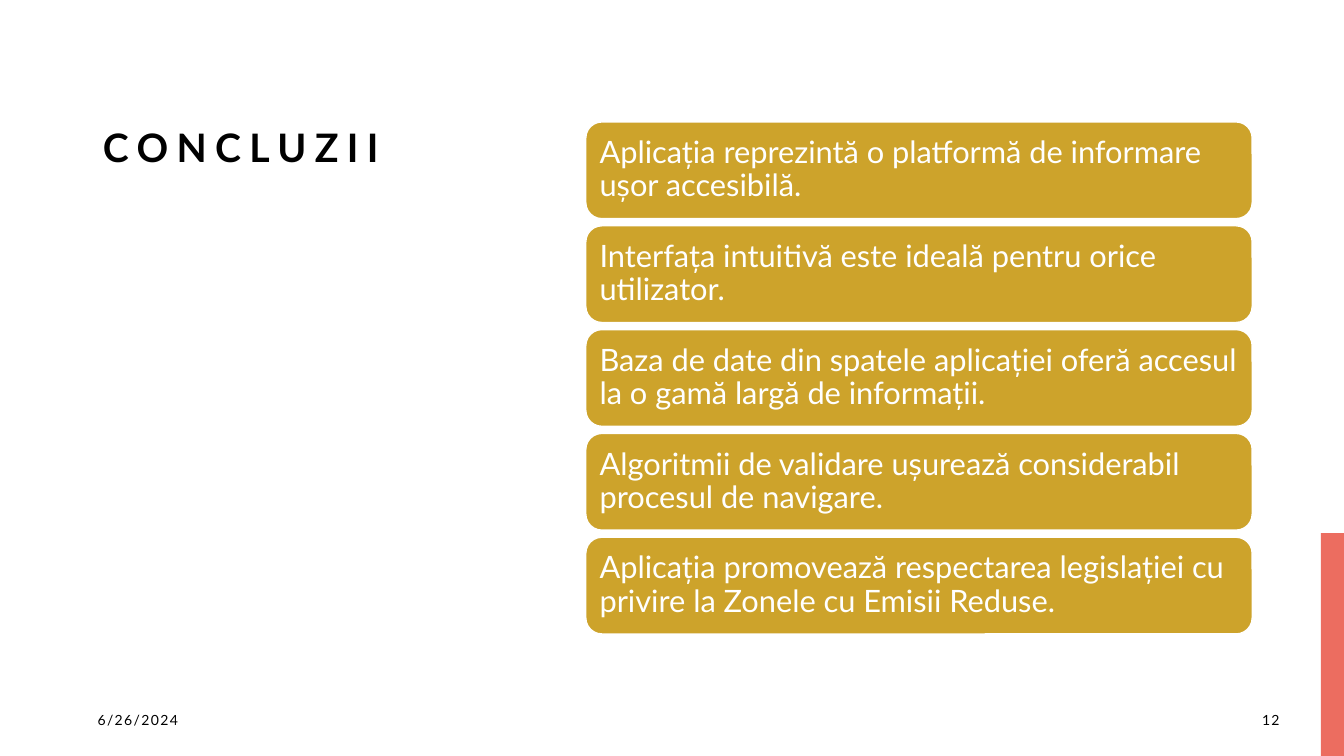
import pptx
import pptx.dml.color
import pptx.enum.shapes
import pptx.enum.text
import pptx.util

TITLE = "CONCLUZII"
CONCLUSIONS = [
    "Aplicația reprezintă o platformă de informare ușor accesibilă.",
    "Interfața intuitivă este ideală pentru orice utilizator.",
    "Baza de date din spatele aplicației oferă accesul la o gamă largă de informații.",
    "Algoritmii de validare ușurează considerabil procesul de navigare.",
    "Aplicația promovează respectarea legislației cu privire la Zonele cu Emisii Reduse.",
]
DATE, PAGE = "6/26/2024", "12"

FONT = "Lato"
BLACK, WHITE, GOLD, CORAL = "000000", "FFFFFF", "CDA32B", "EC6D60"
WIDTH, HEIGHT = 13.33, 7.5
CARD_LEFT, CARD_TOP, CARD_WIDTH, CARD_HEIGHT = 5.81, 1.21, 6.61, 0.96
CARD_GAP = 0.07
FOOTER_TOP, FOOTER_HEIGHT = 6.94, 0.4
STRIPE_WIDTH, STRIPE_HEIGHT = 0.23, 2.21

Inches, Pt = pptx.util.Inches, pptx.util.Pt
SHAPE = pptx.enum.shapes.MSO_SHAPE
ALIGN = pptx.enum.text.PP_ALIGN
ANCHOR = pptx.enum.text.MSO_ANCHOR


def color(value):
    return pptx.dml.color.RGBColor.from_string(value)


def box(left, top, width, height):
    return [Inches(v) for v in (left, top, width, height)]


def write(shape, text, size, fill, anchor, align=ALIGN.LEFT, line=1.0, bold=False, tracking=0):
    tf = shape.text_frame
    tf.word_wrap = True
    tf.auto_size = pptx.enum.text.MSO_AUTO_SIZE.NONE
    tf.vertical_anchor = anchor
    p = tf.paragraphs[0]
    r = p.add_run()
    r.text = text
    if tracking:
        r._r.get_or_add_rPr().set("spc", str(tracking * 100))
    p.alignment, p.line_spacing = align, line
    p.font.name, p.font.size, p.font.bold = FONT, Pt(size), bold
    p.font.color.rgb = color(fill)
    return tf


def block(s, kind, area, fill):
    sp = s.shapes.add_shape(kind, *box(*area))
    sp.shadow.inherit = False
    sp.fill.solid()
    sp.fill.fore_color.rgb = color(fill)
    sp.line.fill.background()
    return sp


prs = pptx.Presentation()
prs.slide_width, prs.slide_height = Inches(WIDTH), Inches(HEIGHT)
s = prs.slides.add_slide(prs.slide_layouts[5])

# Corner stripe
block(s, SHAPE.RECTANGLE,
      (WIDTH - STRIPE_WIDTH, HEIGHT - STRIPE_HEIGHT, STRIPE_WIDTH, STRIPE_HEIGHT), CORAL)

# Title
title = s.shapes.title
title.left, title.top, title.width, title.height = box(0.92, 1.08, 4.3, 1.75)
write(title, TITLE, 28, BLACK, ANCHOR.TOP, line=1.2, bold=True, tracking=6)

# Date and page number
for text, left, width, align in [(DATE, 0.87, 3, ALIGN.LEFT), (PAGE, 12.21, 0.58, ALIGN.RIGHT)]:
    sp = s.shapes.add_textbox(*box(left, FOOTER_TOP, width, FOOTER_HEIGHT))
    write(sp, text, 10, BLACK, ANCHOR.MIDDLE, align, tracking=1)

# Conclusion cards
for i, text in enumerate(CONCLUSIONS):
    top = CARD_TOP + i * (CARD_HEIGHT + CARD_GAP)
    sp = block(s, SHAPE.ROUNDED_RECTANGLE, (CARD_LEFT, top, CARD_WIDTH, CARD_HEIGHT), GOLD)
    sp.line.color.rgb = color(WHITE)
    sp.line.width = Pt(1)
    tf = write(sp, text, 22, WHITE, ANCHOR.MIDDLE, line=0.9)
    tf.margin_left = tf.margin_right = tf.margin_top = tf.margin_bottom = Inches(0.09)

prs.save("out.pptx")
